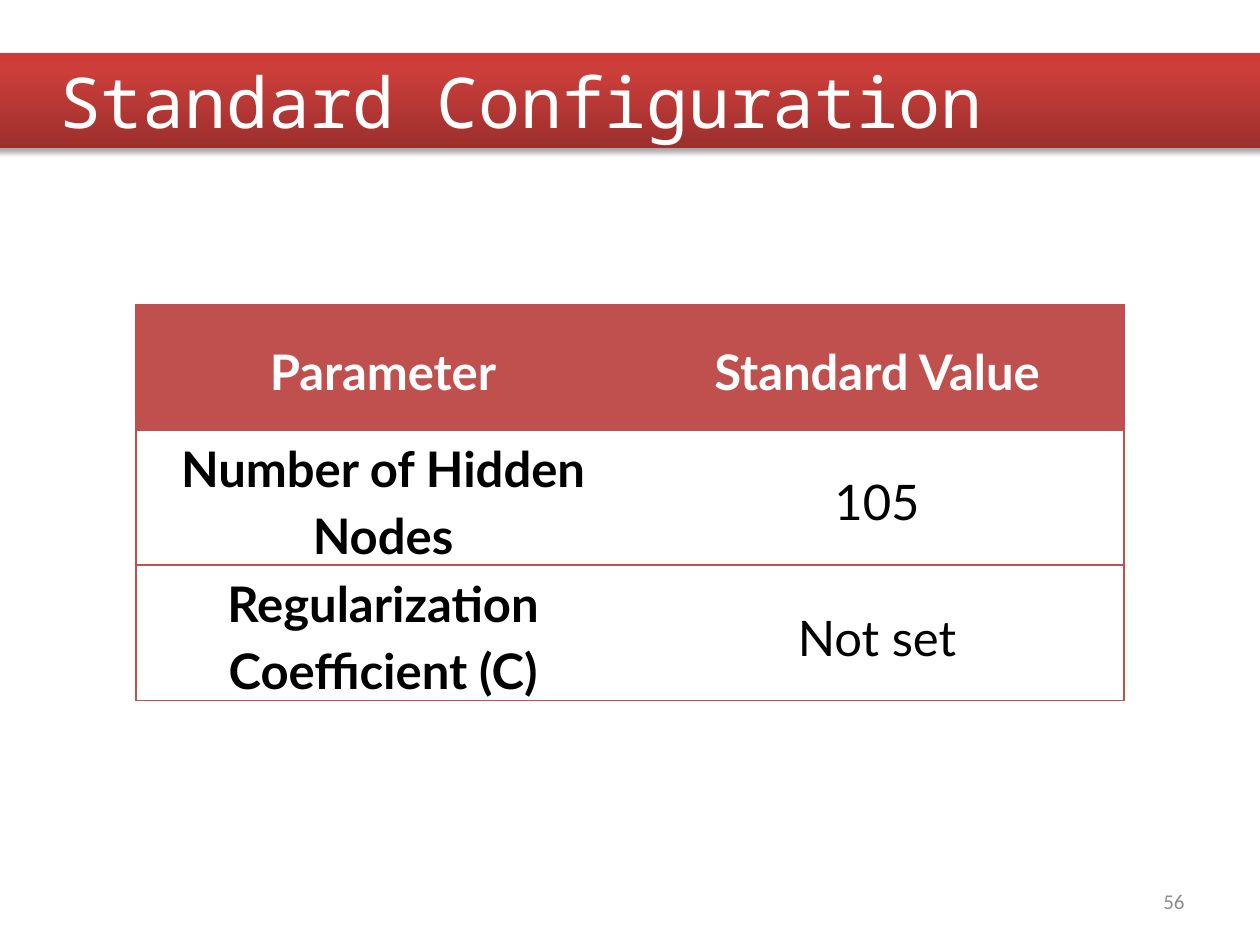
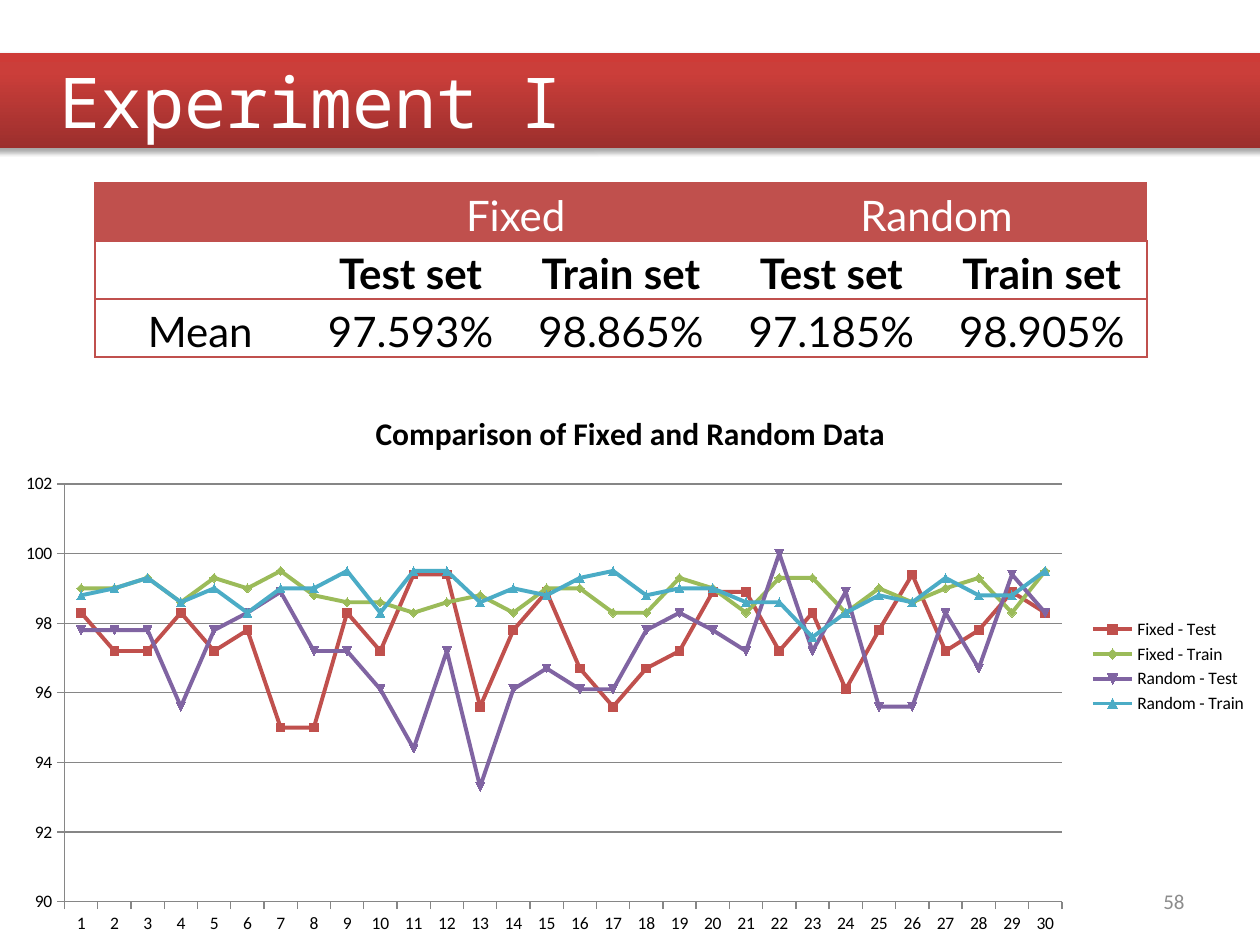
"""Build the standard configuration and Experiment I slides."""
from lxml import etree
from pptx import Presentation
from pptx import util as u
from pptx.chart import data as chart_data
from pptx.dml import color
from pptx.enum import chart as ch, shapes, text
from pptx.oxml import ns

PX = 914400 / 126
FONTS = {"title": "Noto Sans Mono", "table": "Lato", "body": "Calibri"}
COLOURS = {
    "red": "C0504D", "green": "9BBB59", "purple": "8064A2", "blue": "4BACC6",
    "white": "FFFFFF", "black": "000000", "number": "8C8C8C", "axis": "868686",
    "band_low": "9C2F2D", "band_mid": "CB3E3A", "band_high": "CE3B37",
}
RGB = {name: color.RGBColor.from_string(value) for name, value in COLOURS.items()}
A = f'xmlns:a="{ns.nsdecls("a").split(chr(34))[1]}"'
NO_STYLE = "{2D5ABB26-0587-4C30-8999-92F81FD0307C}"

BAND_FILL = f"""<a:gradFill {A} rotWithShape="1"><a:gsLst>
<a:gs pos="0"><a:srgbClr val="{COLOURS['band_low']}"/></a:gs>
<a:gs pos="80000"><a:srgbClr val="{COLOURS['band_mid']}"/></a:gs>
<a:gs pos="100000"><a:srgbClr val="{COLOURS['band_high']}"/></a:gs>
</a:gsLst><a:lin ang="16200000" scaled="0"/></a:gradFill>"""
BAND_SHADOW = f"""<a:effectLst {A}>
<a:outerShdw blurRad="40000" dist="23000" dir="5400000" rotWithShape="0">
<a:srgbClr val="{COLOURS['black']}"><a:alpha val="35000"/></a:srgbClr>
</a:outerShdw></a:effectLst>"""


def px(*lengths):
    return [u.Emu(round(length * PX)) for length in lengths]


def add_grid(slide, rows, left, top, width, row_height, size, is_bold):
    box = px(left, top, width, row_height * len(rows))
    grid = slide.shapes.add_table(len(rows), len(rows[0]), *box).table
    grid._tbl.tblPr.find(ns.qn("a:tableStyleId")).text = NO_STYLE
    last = len(rows[0]) - 1
    for r, row in enumerate(rows):
        for c, words in enumerate(row):
            cell = grid.cell(r, c)
            cell.vertical_anchor = text.MSO_ANCHOR.MIDDLE
            cell.margin_left, cell.margin_right, cell.margin_top, cell.margin_bottom = px(9, 9, 0, 0)
            if r == 0:
                cell.fill.solid()
                cell.fill.fore_color.rgb = RGB["red"]
            else:
                cell.fill.background()
            sides = ["L"] * (c == 0) + ["R"] * (c == last) + ["T", "B"]
            for place, side in enumerate(sides):
                cell._tc.tcPr.insert(place, etree.fromstring(
                    f'<a:ln{side} {A} w="12700"><a:solidFill>'
                    f'<a:srgbClr val="{COLOURS["red"]}"/></a:solidFill></a:ln{side}>'))
            if words:
                cell.text = words
                line = cell.text_frame.paragraphs[0]
                line.alignment = text.PP_ALIGN.CENTER
                line.line_spacing = 1.15
                line.font.name = FONTS["table"]
                line.font.size = u.Pt(size)
                line.font.bold = is_bold(r, c)
                line.font.color.rgb = RGB["white" if r == 0 else "black"]
    return grid


deck = Presentation()
deck.slide_width, deck.slide_height = px(1260, 945)

slides = []
for heading, number in (("Standard Configuration", "56"), ("Experiment I", "58")):
    slide = deck.slides.add_slide(deck.slide_layouts[6])
    slides.append(slide)

    band = slide.shapes.add_shape(shapes.MSO_SHAPE.ROUNDED_RECTANGLE, *px(-21, 53, 1302, 95))
    band.line.fill.background()
    outline = band._element.spPr.find(ns.qn("a:ln"))
    outline.addprevious(etree.fromstring(BAND_FILL))
    outline.addnext(etree.fromstring(BAND_SHADOW))
    band.text_frame.text = "\t" + heading
    band.text_frame.vertical_anchor = text.MSO_ANCHOR.MIDDLE
    title = band.text_frame.paragraphs[0]
    title.alignment = text.PP_ALIGN.LEFT
    title.font.name = FONTS["title"]
    title.font.size = u.Pt(40)
    title.font.color.rgb = RGB["white"]

    footer = slide.shapes.add_textbox(*px(903, 876, 294, 50)).text_frame
    footer.word_wrap = True
    footer.vertical_anchor = text.MSO_ANCHOR.MIDDLE
    footer.text = number
    page = footer.paragraphs[0]
    page.alignment = text.PP_ALIGN.RIGHT
    page.font.name = FONTS["body"]
    page.font.size = u.Pt(12)
    page.font.color.rgb = RGB["number"]

configuration, experiment = slides

add_grid(configuration, [
    ["Parameter", "Standard Value"],
    ["Number of Hidden Nodes", "105"],
    ["Regularization Coefficient (C)", "Not set"],
], 136, 305, 988, 125, 28, lambda r, c: r == 0 or c == 0)

means = add_grid(experiment, [
    ["", "Fixed", "", "Random", ""],
    ["", "Test set", "Train set", "Test set", "Train set"],
    ["Mean", "97.593%", "98.865%", "97.185%", "98.905%"],
], 95, 183, 1052, 58, 24, lambda r, c: r == 1)
for c in (1, 3):
    means.cell(0, c).merge(means.cell(0, c + 1))
for c in range(1, 5):
    means.cell(2, c).vertical_anchor = text.MSO_ANCHOR.BOTTOM

accuracies = {
    "Fixed - Test": ("red", [
        98.3, 97.2, 97.2, 98.3, 97.2, 97.8, 95, 95, 98.3, 97.2,
        99.4, 99.4, 95.6, 97.8, 98.9, 96.7, 95.6, 96.7, 97.2, 98.9,
        98.9, 97.2, 98.3, 96.1, 97.8, 99.4, 97.2, 97.8, 98.9, 98.3]),
    "Fixed - Train": ("green", [
        99, 99, 99.3, 98.6, 99.3, 99, 99.5, 98.8, 98.6, 98.6,
        98.3, 98.6, 98.8, 98.3, 99, 99, 98.3, 98.3, 99.3, 99,
        98.3, 99.3, 99.3, 98.3, 99, 98.6, 99, 99.3, 98.3, 99.5]),
    "Random - Test": ("purple", [
        97.8, 97.8, 97.8, 95.6, 97.8, 98.3, 98.9, 97.2, 97.2, 96.1,
        94.4, 97.2, 93.3, 96.1, 96.7, 96.1, 96.1, 97.8, 98.3, 97.8,
        97.2, 100, 97.2, 98.9, 95.6, 95.6, 98.3, 96.7, 99.4, 98.3]),
    "Random - Train": ("blue", [
        98.8, 99, 99.3, 98.6, 99, 98.3, 99, 99, 99.5, 98.3,
        99.5, 99.5, 98.6, 99, 98.8, 99.3, 99.5, 98.8, 99, 99,
        98.6, 98.6, 97.6, 98.3, 98.8, 98.6, 99.3, 98.8, 98.8, 99.5]),
}
runs = chart_data.CategoryChartData()
runs.categories = [str(run) for run in range(1, 31)]
for name, (_, values) in accuracies.items():
    runs.add_series(name, values)

comparison = experiment.shapes.add_chart(
    ch.XL_CHART_TYPE.LINE_MARKERS, *px(1, 388, 1259, 557), runs).chart
comparison.font.name = FONTS["body"]
comparison.font.size = u.Pt(10)
comparison.font.color.rgb = RGB["black"]
comparison.has_title = True
comparison.chart_title.text_frame.text = "Comparison of Fixed and Random Data"
caption = comparison.chart_title.text_frame.paragraphs[0].font
caption.name = FONTS["body"]
caption.size = u.Pt(18)
caption.bold = True
caption.color.rgb = RGB["black"]
comparison.has_legend = True
comparison.legend.position = ch.XL_LEGEND_POSITION.RIGHT
comparison.legend.include_in_layout = False

accuracy_axis = comparison.value_axis
accuracy_axis.minimum_scale, accuracy_axis.maximum_scale = 90, 102
accuracy_axis.major_unit = 2
accuracy_axis.has_major_gridlines = True
for axis in (accuracy_axis, comparison.category_axis):
    axis.major_tick_mark = ch.XL_TICK_MARK.OUTSIDE
    axis.format.line.color.rgb = RGB["axis"]
accuracy_axis.major_gridlines.format.line.color.rgb = RGB["axis"]

comparison.plots[0].vary_by_categories = False
for series, (hue, _) in zip(comparison.plots[0].series, accuracies.values()):
    series.smooth = False
    series.format.line.color.rgb = RGB[hue]
    series.format.line.width = u.Pt(2.25)
    series.marker.format.fill.solid()
    series.marker.format.fill.fore_color.rgb = RGB[hue]
    series.marker.format.line.color.rgb = RGB[hue]

deck.save("out.pptx")
